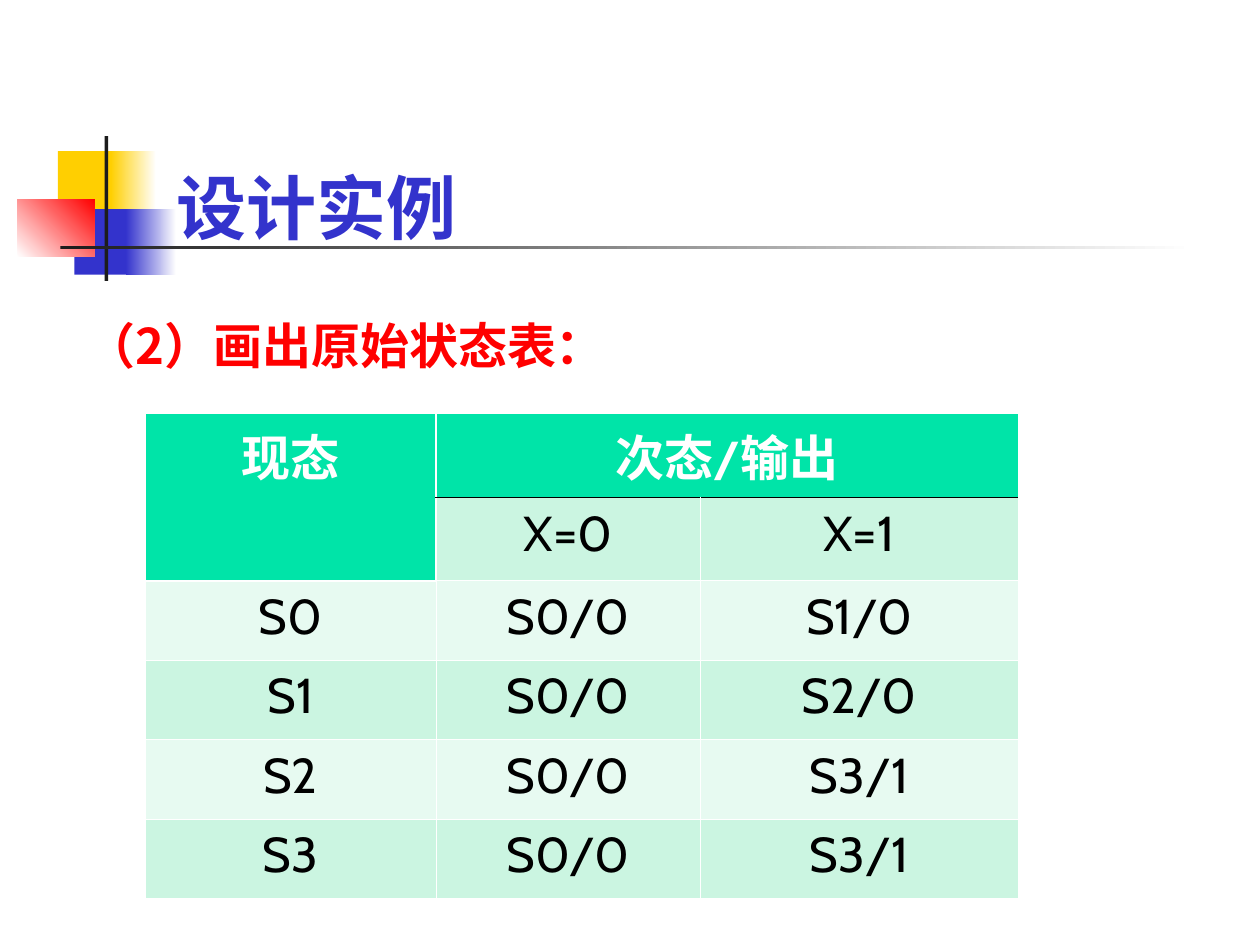
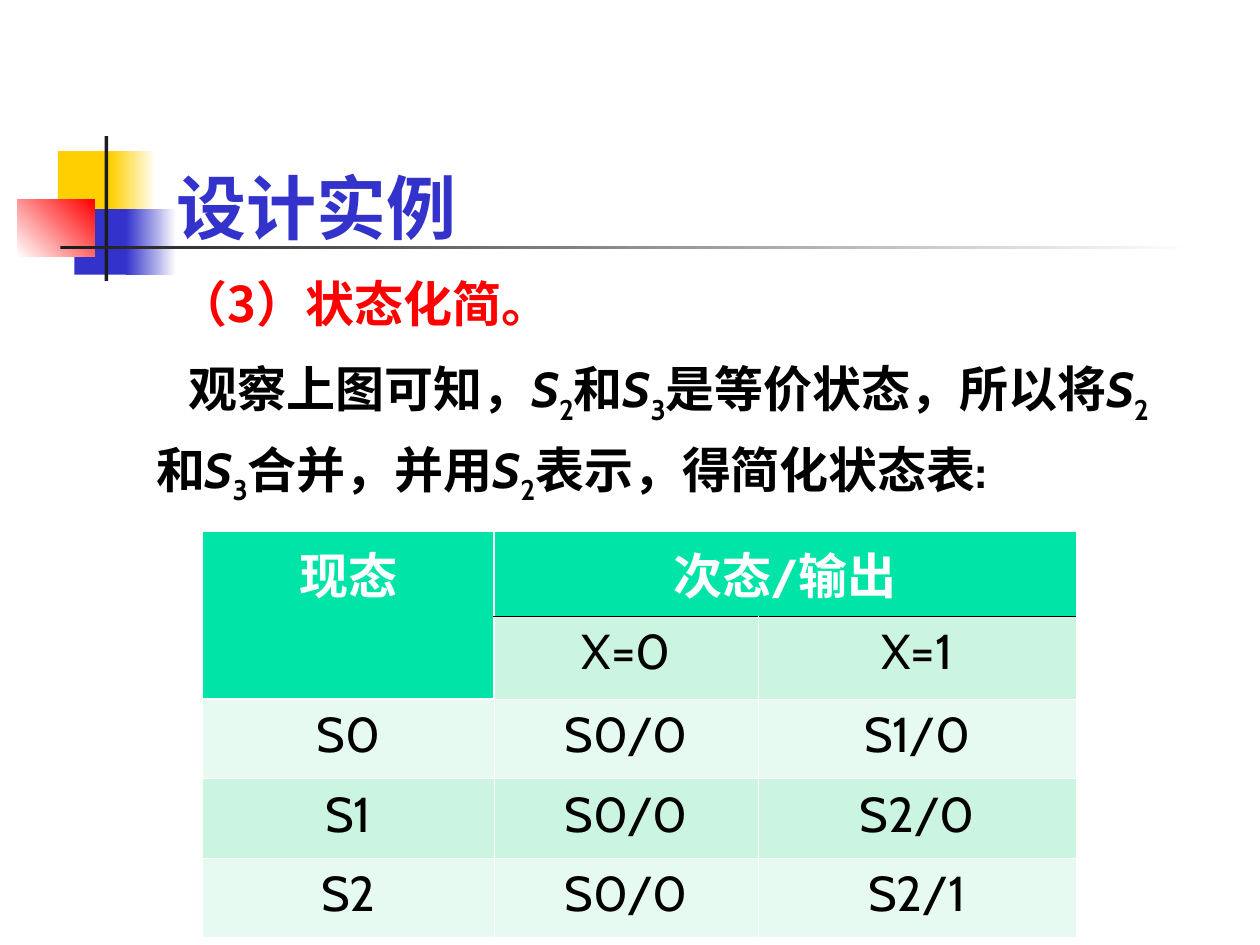
from lxml import etree
from pptx import Presentation
from pptx.dml.color import RGBColor
from pptx.enum.shapes import MSO_SHAPE
from pptx.enum.text import MSO_ANCHOR, PP_ALIGN
from pptx.oxml.ns import qn
from pptx.util import Inches, Pt

RECT = MSO_SHAPE.RECTANGLE
LEFT, CENTER = PP_ALIGN.LEFT, PP_ALIGN.CENTER
TOP, BOTTOM = MSO_ANCHOR.TOP, MSO_ANCHOR.BOTTOM

LATIN, CJK, SERIF = "Cabin", "Noto Sans CJK SC", "Times New Roman"
BLUE, YELLOW, RED = "3333CC", "FFCF01", "FF0000"
DARK, BLACK, WHITE = "1C1C1C", "000000", "FFFFFF"
HEADER, BAND_DARK, BAND_LIGHT = "00E4A8", "CBF5E1", "E7FAF1"
THIN, THICK = 0.45, 1.47

TITLE = "设计实例"
TITLE_BOX = (1.3, 1.15, 8.5, 0.87)
# left, top, width, height, start colour, end colour (None for solid), angle
ORNAMENT = [
    (0.46, 1.2, 0.48, 0.52, YELLOW, None, 0),
    (0.88, 1.2, 0.36, 0.52, YELLOW, WHITE, 0),
    (0.59, 1.66, 0.46, 0.52, BLUE, None, 0),
    (1, 1.66, 0.4, 0.52, BLUE, WHITE, 0),
    (0.14, 1.58, 0.61, 0.46, WHITE, RED, 45),
    (0.83, 1.08, 0.03, 1.15, DARK, None, 0),
    (0.48, 1.95, 9, 0.03, DARK, WHITE, 0),
]

TABLE_HEAD = [("现态", "次态/输出", ""), ("", "X=0", "X=1")]
COLUMN_WIDTHS = (2.31, 2.1, 2.52)
HEAD_HEIGHTS, STATE_HEIGHT = (0.67, 0.66), 0.63
ORIGINAL_STATES = [
    ("S0", "S0/0", "S1/0"),
    ("S1", "S0/0", "S2/0"),
    ("S2", "S0/0", "S3/1"),
    ("S3", "S0/0", "S3/1"),
]
REDUCED_STATES = ORIGINAL_STATES[:2] + [("S2", "S0/0", "S2/1")]


def rgb(value):
    return RGBColor.from_string(value)


def inches(box):
    return [Inches(v) for v in box]


def style_run(r, size, color, bold=True, font=LATIN):
    r.font.size = Pt(size)
    r.font.bold = bold
    r.font.color.rgb = rgb(color)
    r.font.name = font
    etree.SubElement(r._r.get_or_add_rPr(), qn("a:ea")).set("typeface", CJK)


def add_run(p, text, color, font=LATIN):
    r = p.add_run()
    r.text = text
    style_run(r, 28, color, font=font)
    return r


def add_ornament(slide):
    for *box, start, end, angle in ORNAMENT:
        sp = slide.shapes.add_shape(RECT, *inches(box))
        sp.shadow.inherit = False
        sp.line.fill.background()
        if end is None:
            sp.fill.solid()
            sp.fill.fore_color.rgb = rgb(start)
            continue
        sp.fill.gradient()
        sp.fill.gradient_angle = angle
        for stop, color, position in zip(sp.fill.gradient_stops, (start, end), (0, 1)):
            stop.color.rgb = rgb(color)
            stop.position = position


def add_titled_slide(prs):
    slide = prs.slides.add_slide(prs.slide_layouts[5])
    add_ornament(slide)
    title = slide.shapes.title
    title.left, title.top, title.width, title.height = inches(TITLE_BOX)
    tf = title.text_frame
    tf.text = TITLE
    tf.vertical_anchor = BOTTOM
    p = tf.paragraphs[0]
    p.alignment = LEFT
    style_run(p.runs[0], 40, BLUE)
    return slide


def add_text_box(slide, box, anchor):
    tf = slide.shapes.add_textbox(*inches(box)).text_frame
    tf.word_wrap = True
    tf.vertical_anchor = anchor
    return tf


def format_paragraph(p, margin, indent):
    p.line_spacing = 1.21
    p.space_before = Pt(7)
    pPr = p._p.get_or_add_pPr()
    pPr.set("marL", str(Inches(margin)))
    pPr.set("indent", str(Inches(indent)))


def add_state_text(p, text):
    """Write text with each state name as an italic S and a subscript digit."""
    first, *rest = text.split("S")
    add_run(p, first, BLACK)
    for piece in rest:
        add_run(p, "S", BLACK).font.italic = True
        digit = add_run(p, piece[0], BLACK)
        digit.font._element.set("baseline", "-25000")
        add_run(p, piece[1:], BLACK)


def set_borders(cell, **special):
    """Draw thin white borders, except the sides given as (colour, width)."""
    tcPr = cell._tc.get_or_add_tcPr()
    for side in "LRTB":
        color, width = special.get(side, (WHITE, THIN))
        ln = etree.SubElement(tcPr, qn(f"a:ln{side}"), w=str(Pt(width)))
        fill = etree.SubElement(ln, qn("a:solidFill"))
        etree.SubElement(fill, qn("a:srgbClr"), val=color)


def cell_borders(row, col):
    special = {}
    if row < 2 and col == 0:
        special["R"] = (WHITE, THICK)
    if row < 2 and col == 1:
        special["L"] = (WHITE, THICK)
    if row == 0 and col > 0:
        special["B"] = (BLACK, THIN)
    if row == 1:
        special["T"] = (BLACK, THIN) if col else (WHITE, THIN)
    if (row, col) == (1, 0):
        special["B"] = (WHITE, THICK)
    if (row, col) == (2, 0):
        special["T"] = (WHITE, THICK)
    return special


def add_state_table(slide, left, top, states):
    rows = TABLE_HEAD + states
    heights = [*HEAD_HEIGHTS, *[STATE_HEIGHT] * len(states)]
    box = inches((left, top, sum(COLUMN_WIDTHS), sum(heights)))
    table = slide.shapes.add_table(len(rows), len(COLUMN_WIDTHS), *box).table
    for column, width in zip(table.columns, COLUMN_WIDTHS):
        column.width = Inches(width)
    for row, height in zip(table.rows, heights):
        row.height = Inches(height)
    table.cell(0, 0).merge(table.cell(1, 0))
    table.cell(0, 1).merge(table.cell(0, 2))

    for i, texts in enumerate(rows):
        for j, text in enumerate(texts):
            cell = table.cell(i, j)
            is_head = i == 0 or (i == 1 and j == 0)
            set_borders(cell, **cell_borders(i, j))
            cell.fill.solid()
            band = BAND_DARK if i % 2 else BAND_LIGHT
            cell.fill.fore_color.rgb = rgb(HEADER if is_head else band)
            if not text:
                continue
            cell.text_frame.text = text
            p = cell.text_frame.paragraphs[0]
            p.alignment = CENTER
            style_run(p.runs[0], 28, WHITE if is_head else BLACK, bold=is_head)


def add_original_table_slide(prs):
    slide = add_titled_slide(prs)
    p = add_text_box(slide, (0.59, 2.36, 7.22, 0.66), TOP).paragraphs[0]
    format_paragraph(p, 0.38, -0.38)
    add_run(p, "（2）画出", RED, CJK)
    add_run(p, "原始状态表：", RED, SERIF)
    add_state_table(slide, 1.15, 3.28, ORIGINAL_STATES)


def add_reduction_slide(prs):
    slide = add_titled_slide(prs)
    tf = add_text_box(slide, (1.14, 2.02, 8.19, 2.05), BOTTOM)
    heading = tf.paragraphs[0]
    format_paragraph(heading, 0, 0.18)
    add_run(heading, "（3）状态化简。", RED, CJK)
    p = tf.add_paragraph()
    format_paragraph(p, 0, 0.26)
    add_state_text(p, "观察上图可知，S2和S3是等价状态，所以将S2和S3合并，并用S2表示，得简化状态表:")
    add_state_table(slide, 1.61, 4.22, REDUCED_STATES)


def main():
    prs = Presentation()
    prs.slide_width, prs.slide_height = Inches(10), Inches(7.5)
    add_original_table_slide(prs)
    add_reduction_slide(prs)
    prs.save("out.pptx")


if __name__ == "__main__":
    main()
